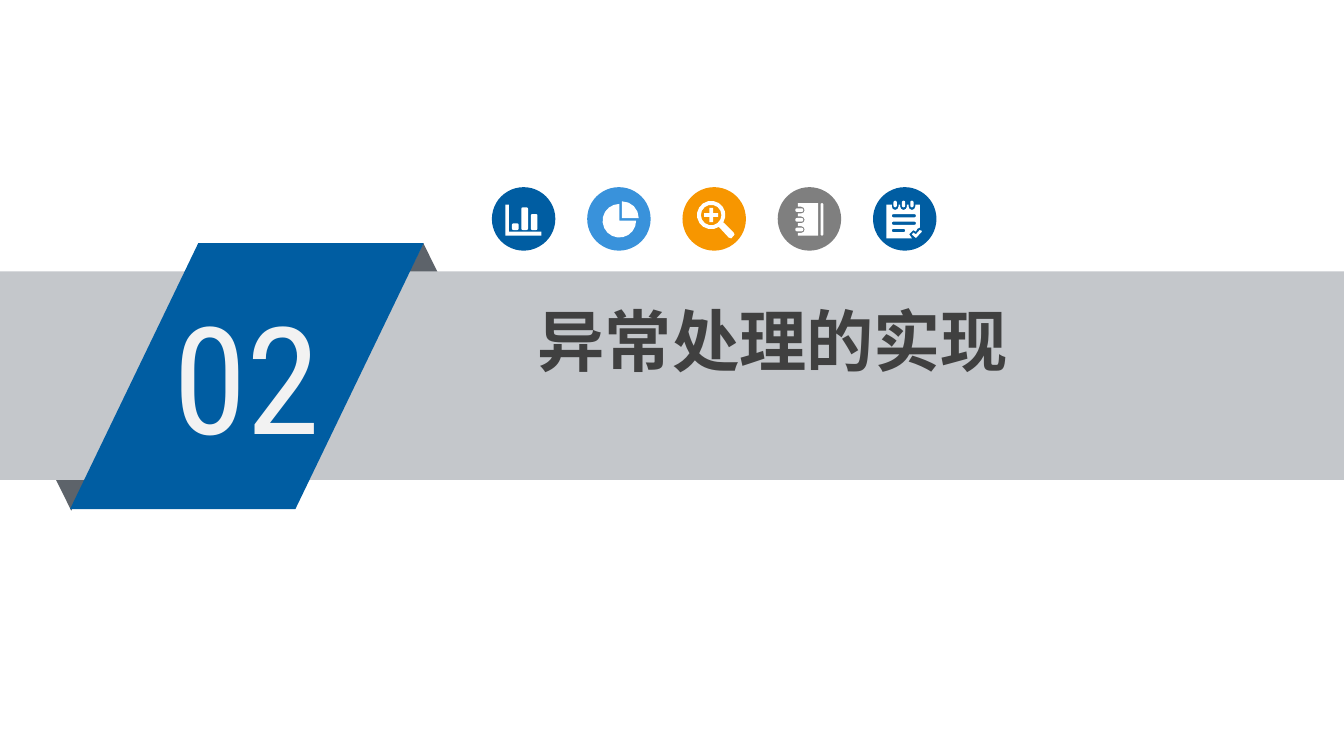
"""Build a section slide with a numbered ribbon, a title and five round icons."""
from math import cos, radians, sin, sqrt

from lxml.etree import SubElement
from pptx import Presentation
from pptx.dml.color import RGBColor
from pptx.enum.shapes import MSO_SHAPE as Kind
from pptx.enum.text import MSO_AUTO_SIZE as Fit, PP_ALIGN as Align
from pptx.oxml.ns import qn
from pptx.util import Pt

BLUE = RGBColor(0x00, 0x5D, 0xA2)
SKY = RGBColor(0x39, 0x92, 0xDB)
ORANGE = RGBColor(0xF7, 0x96, 0x00)
GRAY = RGBColor(0x7F, 0x7F, 0x7F)
SLATE = RGBColor(0x5D, 0x63, 0x6A)
SILVER = RGBColor(0xC4, 0xC7, 0xCB)
PALE = RGBColor(0xF2, 0xF2, 0xF2)
DARK = RGBColor(0x40, 0x40, 0x40)
WHITE = RGBColor(0xFF, 0xFF, 0xFF)


def arc(x, y, r, start, end):
    steps = max(2, round(abs(end - start) * sqrt(r) / 60))
    turns = [radians(start + (end - start) * i / steps) for i in range(steps + 1)]
    return [(x + r * cos(t), y + r * sin(t)) for t in turns]


def box(x, y, w, h, r):
    right, low = x + w - r, y + h - r
    return (arc(x + r, y + r, r, 180, 270) + arc(right, y + r, r, 270, 360)
            + arc(right, low, r, 0, 90) + arc(x + r, low, r, 90, 180))


deck = Presentation()
deck.slide_width, deck.slide_height = Pt(720), Pt(405)
slide = deck.slides.add_slide(deck.slide_layouts[6])
shapes = slide.shapes

bars = [[(7.2, 9.4), (9.2, 9.4), (9.2, 23.8), (26.6, 23.8), (26.6, 25.9), (7.2, 25.9)]]
for x, top in (10.8, 19.4), (15.8, 10.8), (20.9, 14.4):
    bars.append(box(x, top, 3.6, 23 - top, 0.8))

pie = [arc(18.7, 16.6, 9, 270, 360) + [(18.7, 16.6)],
       arc(17.3, 18, 9, 0, 270) + [(17.3, 18)]]

x, y, arm, half = 15.4, 14.9, 3.8, 1
plus = [(-arm, -half), (-half, -half), (-half, -arm), (half, -arm),
        (half, -half), (arm, -half), (arm, half), (half, half),
        (half, arm), (-half, arm), (-half, half), (-arm, half)]
lens = [arc(x, y, 7.6, 57, 391) + [(27.4, 24.2), (27.9, 25.4), (26.2, 27.4), (24.8, 27)],
        arc(x, y, 5.5, 0, 360),
        [(x + dx, y + dy) for dx, dy in plus]]

page = [(21.6, 8.6), (21.6, 25.9), (10.8, 25.9)]
book = [page, box(23, 8.6, 1.4, 17.3, 0.5)]
for y in 22.7, 17.5, 12.3:
    page += [(10.8, y + 1.8)] + arc(12.6, y, 1.8, 90, -90) + [(10.8, y - 1.8)]
    book.append(box(9.4, y - 1, 4.3, 2, 0.9))
page.append((10.8, 8.6))

sheet = [(7.2, 27.4), (7.2, 9.4)]
note = [sheet]
for x in 11.9, 16.4, 20.9:
    sheet += [(x - 1.8, 9.4)] + arc(x, 10.4, 1.8, 180, 0) + [(x + 1.8, 9.4)]
    note.append(box(x - 0.9, 7.2, 1.8, 3.6, 0.9))
sheet += [(25.2, 9.4), (25.2, 21.6), (23.8, 22.3), (23, 23.8),
          (21.6, 23), (19.4, 25.2), (20.9, 27.4)]
for y, wide in (14.4, 13), (18.4, 13), (22.3, 7.2):
    note.append(box(10.1, y, wide, 1.8, 0.9))
note.append([(25.9, 23.2), (26.2, 23.9), (23, 27.2), (20.9, 25.4),
             (21.6, 24.3), (23, 25.2), (25, 23)])

ribbon = [
    (Kind.ISOSCELES_TRIANGLE, (194.4, 130.3, 64.8, 65.5), SLATE),
    (Kind.ISOSCELES_TRIANGLE, (5.8, 208.1, 64.8, 65.5), SLATE),
    (Kind.RECTANGLE, (0, 145.4, 720, 111.8), SILVER),
    (Kind.PARALLELOGRAM, (37.6, 130.2, 189.4, 142.5), BLUE),
]
icons = [(BLUE, bars), (SKY, pie), (ORANGE, lens), (GRAY, book), (BLUE, note)]

drawn = []
for kind, place, color in ribbon:
    drawn.append((shapes.add_shape(kind, *map(Pt, place)), color))
fold, tip, band, flag = [shape for shape, color in drawn]
tip._element.spPr.xfrm.set("flipV", "1")
flag.adjustments[0] = 0.482

for i, (color, rings) in enumerate(icons):
    left, top = 263.5 + 51.05 * i, 100.3
    disc = shapes.add_shape(Kind.OVAL, *map(Pt, (left, top, 34, 34)))
    drawn.append((disc, color))
    pen = None
    for ring in rings:
        first, *rest = [(Pt(left + x), Pt(top + y)) for x, y in ring]
        if pen is None:
            pen = shapes.build_freeform(*first, scale=1.0)
        else:
            pen.move_to(*first)
        pen.add_line_segments(rest, close=True)
    drawn.append((pen.convert_to_shape(), WHITE))

for shape, color in drawn:
    shape.shadow.inherit = False
    shape.fill.solid()
    shape.fill.fore_color.rgb = color
    shape.line.fill.background()

texts = [
    ("02", (87.8, 149.8, 104.4, 102.2), 5, Align.LEFT, PALE,
     {"size": Pt(80), "name": "Roboto Condensed", "bold": False}),
    ("异常处理的实现", (218.2, 157.7, 391.7, 49), 5.8, Align.CENTER, DARK,
     {"size": Pt(36), "name": "Noto Sans CJK SC", "bold": True}),
]
for words, place, pad, align, color, style in texts:
    frame = shapes.add_textbox(*map(Pt, place)).text_frame
    layout = {"word_wrap": True, "auto_size": Fit.SHAPE_TO_FIT_TEXT,
              "margin_left": Pt(pad), "margin_right": Pt(pad),
              "margin_top": Pt(2.9), "margin_bottom": Pt(2.9)}
    for key, value in layout.items():
        setattr(frame, key, value)
    para = frame.paragraphs[0]
    para.alignment = align
    run = para.add_run()
    run.text = words
    for key, value in style.items():
        setattr(run.font, key, value)
    run.font.color.rgb = color
    SubElement(run.font._element, qn("a:ea"), typeface=style["name"])

deck.save("out.pptx")
